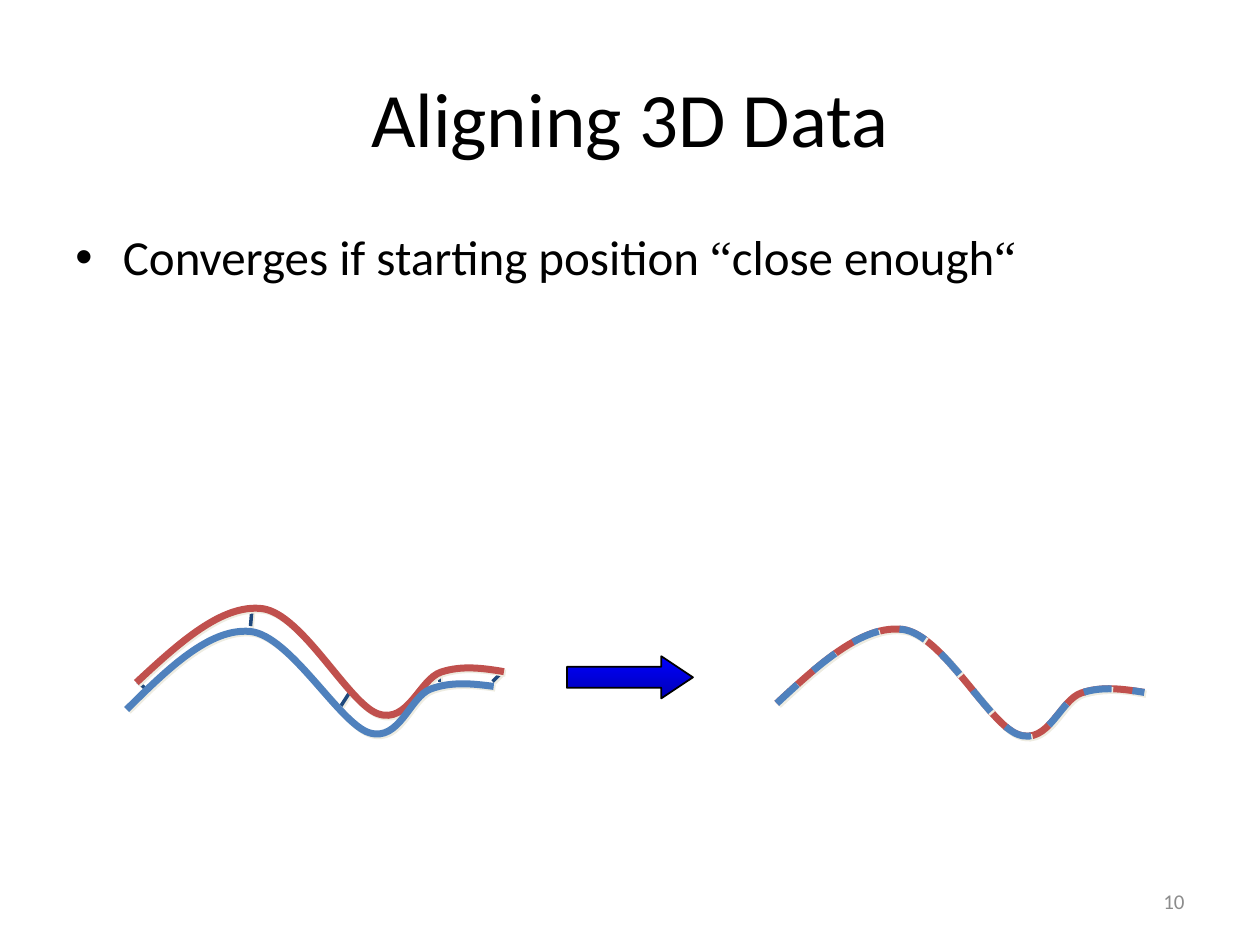
import dataclasses

import lxml.etree
import pptx
import pptx.dml.color
import pptx.enum.dml
import pptx.enum.shapes
import pptx.enum.text
import pptx.oxml.ns
import pptx.util

Cm = pptx.util.Cm
Pt = pptx.util.Pt
Align = pptx.enum.text.PP_ALIGN
Anchor = pptx.enum.text.MSO_ANCHOR
Shape = pptx.enum.shapes.MSO_SHAPE
qn = pptx.oxml.ns.qn


@dataclasses.dataclass(frozen=True)
class Theme:
    font: str = "Calibri"
    serif: str = "Times New Roman"
    black: str = "000000"
    gray: str = "8C8C8C"
    red: str = "C0504D"
    blue: str = "4F81BD"
    navy: str = "1F497D"
    shade: str = "EEECE1"
    arrow: tuple = ("0000FF", "0000B6")
    title: int = 44
    body: int = 28
    small: int = 12


# Surface profile in cm: a start point, then cubic pieces (two handles, end).
PROFILE = [
    (0, 1.59),
    (0.86, 0.79), (1.73, 0), (2.54, 0.1),
    (3.35, 0.21), (4.27, 2.01), (4.87, 2.22),
    (5.48, 2.43), (5.71, 1.52), (6.14, 1.38),
    (6.56, 1.24), (6.99, 1.3), (7.41, 1.37),
]

# Links between matching points of the two scans, in cm.
LINKS = [
    (2.77, 13.74, 2.92, 13.87),
    (5.08, 12.27, 5.05, 12.62),
    (7.06, 13.94, 6.86, 14.25),
    (10.13, 13.54, 9.93, 13.74),
    (8.86, 13.56, 8.86, 13.74),
]


def rgb(code):
    return pptx.dml.color.RGBColor.from_string(code)


def bend(shape):
    """Turn each three straight segments into one cubic piece."""
    lines = list(shape._element.iter(qn("a:lnTo")))
    for i in range(0, len(lines), 3):
        cubic = lxml.etree.Element(qn("a:cubicBezTo"))
        lines[i].addprevious(cubic)
        for line in lines[i:i + 3]:
            cubic.append(line[0])
            line.getparent().remove(line)


class Page:
    def __init__(self, deck, theme):
        self.theme = theme
        self.slide = deck.slides.add_slide(deck.slide_layouts[6])

    def text(self, box, runs, size, color, align=Align.LEFT,
             anchor=Anchor.TOP, bullet=False):
        """Add one paragraph; runs are (text, font) pairs."""
        frame = self.slide.shapes.add_textbox(*map(Cm, box)).text_frame
        frame.word_wrap = True
        frame.vertical_anchor = anchor
        para = frame.paragraphs[0]
        para.alignment = align
        if bullet:
            props = para._p.get_or_add_pPr()
            props.set("marL", str(Cm(0.96)))
            props.set("indent", str(-Cm(0.96)))
            lxml.etree.SubElement(props, qn("a:buFont"), typeface="Arial")
            lxml.etree.SubElement(props, qn("a:buChar"), char="•")
        para.font.size = Pt(size)
        para.font.color.rgb = rgb(color)
        fonts = {font for _, font in runs}
        if len(fonts) == 1:
            para.font.name = fonts.pop()
        for words, font in runs:
            run = para.add_run()
            run.text = words
            if fonts:
                run.font.name = font

    def stroke(self, shape, color, width):
        """Style a line and give it an offset shadow."""
        shape.line.color.rgb = rgb(color)
        shape.line.width = Pt(width)
        group = lxml.etree.SubElement(
            shape._element.spPr, qn("a:effectLst"))
        cast = lxml.etree.SubElement(
            group, qn("a:outerShdw"), dist=str(Pt(1.4)), dir="2700000",
            algn="ctr", rotWithShape="0")
        lxml.etree.SubElement(cast, qn("a:srgbClr"), val=self.theme.shade)

    def link(self, ends):
        line = self.slide.shapes.add_connector(
            pptx.enum.shapes.MSO_CONNECTOR.STRAIGHT, *map(Cm, ends))
        self.stroke(line, self.theme.navy, 2)

    def curve(self, left, top, color, turn=0, dash=False):
        dots = [(Cm(left + x), Cm(top + y)) for x, y in PROFILE]
        pen = self.slide.shapes.build_freeform(*dots[0])
        pen.add_line_segments(dots[1:], close=False)
        shape = pen.convert_to_shape()
        bend(shape)
        shape.fill.background()
        shape.rotation = turn
        self.stroke(shape, color, 4)
        if dash:
            shape.line.dash_style = pptx.enum.dml.MSO_LINE.DASH

    def arrow(self, box):
        shape = self.slide.shapes.add_shape(Shape.RIGHT_ARROW, *map(Cm, box))
        shape.shadow.inherit = False
        shape.adjustments[0] = 0.5
        shape.adjustments[1] = 0.75
        shape.fill.gradient()
        shape.fill.gradient_angle = 270
        for i, stop in enumerate(shape.fill.gradient_stops):
            stop.position = i
            stop.color.rgb = rgb(self.theme.arrow[i])
        shape.line.color.rgb = rgb(self.theme.black)
        shape.line.width = Pt(1)


def main():
    deck = pptx.Presentation()
    deck.slide_width, deck.slide_height = Cm(25.4), Cm(19.05)
    theme = Theme()
    page = Page(deck, theme)

    page.text((1.27, 0.76, 22.86, 3.18), [("Aligning 3D Data", theme.font)],
              theme.title, theme.black, Align.CENTER, Anchor.MIDDLE)
    page.text((1.27, 4.45, 22.86, 12.57),
              [("Converges if starting position ", theme.font),
               ("“", theme.serif),
               ("close enough", theme.font),
               ("“", theme.serif)],
              theme.body, theme.black, bullet=True)

    for ends in LINKS:
        page.link(ends)
    page.curve(2.75, 12.17, theme.red)
    page.curve(2.54, 12.59, theme.blue, turn=358.1)
    page.curve(15.66, 12.59, theme.red)
    page.curve(15.66, 12.59, theme.blue, dash=True)
    page.arrow((11.43, 13.23, 2.54, 0.85))

    page.text((18.2, 17.66, 5.93, 1.01), [("10", theme.font)],
              theme.small, theme.gray, Align.RIGHT, Anchor.MIDDLE)
    deck.save("out.pptx")


if __name__ == "__main__":
    main()
